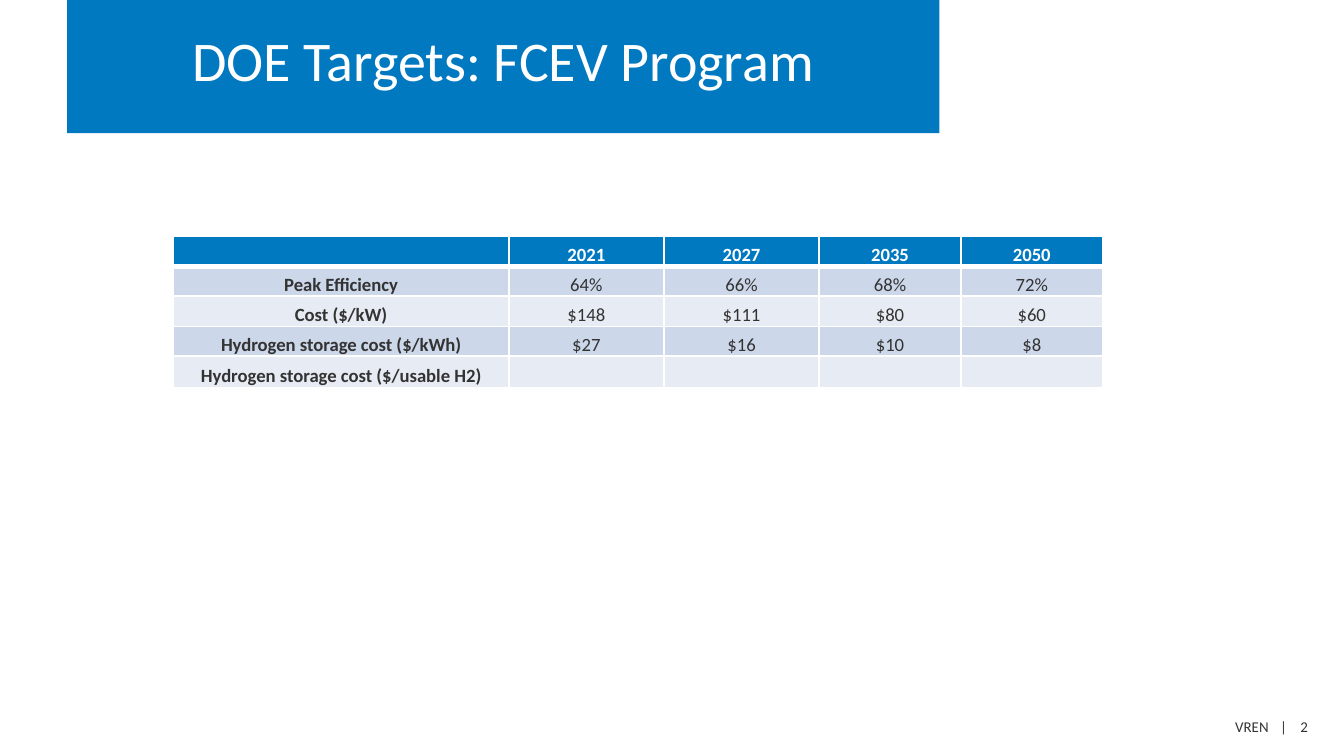
from dataclasses import dataclass

from lxml.etree import SubElement
from pptx import Presentation
from pptx.dml.color import RGBColor as Rgb
from pptx.enum.text import MSO_ANCHOR as Anchor, PP_ALIGN as Align
from pptx.oxml.ns import qn
from pptx.util import Pt

PX = 4572


@dataclass(frozen=True)
class Theme:
    font: str = "Calibri"
    blue: str = "0079C1"
    white: str = "FFFFFF"
    ink: str = "333333"
    bands: tuple = ("CCD7E9", "E7ECF4")
    title_size: int = 30
    table_size: int = 10
    footer_size: int = 8
    border: int = 1
    header_border: int = 3


THEME = Theme()

YEARS = ["", "2021", "2027", "2035", "2050"]
TARGETS = [
    ["Peak Efficiency", "64%", "66%", "68%", "72%"],
    ["Cost ($/kW)", "$148", "$111", "$80", "$60"],
    ["Hydrogen storage cost ($/kWh)", "$27", "$16", "$10", "$8"],
    ["Hydrogen storage cost ($/usable H2)", "", "", "", ""],
]
COLUMN_WIDTHS = [499, 231, 231, 211, 211]
ROW_HEIGHTS = [45, 44, 45, 44, 47]


def px(*lengths):
    return [length * PX for length in lengths]


def write(frame, text, *, size, color, bold=False, align=Align.CENTER, spacing=None):
    paragraph = frame.paragraphs[0]
    paragraph.alignment = align
    if spacing:
        paragraph.line_spacing = Pt(spacing)
    if not text:
        SubElement(paragraph._p, qn("a:endParaRPr"), sz=str(size * 100))
        return paragraph
    run = paragraph.add_run()
    run.text = text
    run.font.name = THEME.font
    run.font.size = Pt(size)
    run.font.bold = bold
    run.font.color.rgb = Rgb.from_string(color)
    return paragraph


def set_borders(cell, **widths):
    properties = cell._tc.get_or_add_tcPr()
    for position, side in enumerate("LRTB"):
        width = widths.get(side, THEME.border)
        line = properties.makeelement(qn(f"a:ln{side}"), {"w": str(Pt(width))})
        fill = SubElement(line, qn("a:solidFill"))
        SubElement(fill, qn("a:srgbClr"), val=THEME.white)
        properties.insert(position, line)


def add_title(slide, box):
    banner = slide.shapes.title
    banner.left, banner.top, banner.width, banner.height = px(*box)
    banner.fill.solid()
    banner.fill.fore_color.rgb = Rgb.from_string(THEME.blue)
    banner.text_frame.vertical_anchor = Anchor.MIDDLE
    write(banner.text_frame, "DOE Targets: FCEV Program", size=THEME.title_size,
          color=THEME.white, spacing=28)


def add_targets(slide, left, top):
    box = px(left, top, sum(COLUMN_WIDTHS), sum(ROW_HEIGHTS))
    rows = [YEARS, *TARGETS]
    targets = slide.shapes.add_table(len(rows), len(YEARS), *box).table
    for column, width in zip(targets.columns, px(*COLUMN_WIDTHS)):
        column.width = width
    for row, height in zip(targets.rows, px(*ROW_HEIGHTS)):
        row.height = height

    for r, values in enumerate(rows):
        header = r == 0
        fill = THEME.blue if header else THEME.bands[(r - 1) % 2]
        rule = {0: {"B": THEME.header_border}, 1: {"T": THEME.header_border}}.get(r, {})
        for c, value in enumerate(values):
            cell = targets.cell(r, c)
            cell.margin_left = cell.margin_right = 0
            cell.margin_top = cell.margin_bottom = 0
            cell.vertical_anchor = Anchor.BOTTOM
            cell.fill.solid()
            cell.fill.fore_color.rgb = Rgb.from_string(fill)
            set_borders(cell, **rule)
            write(cell.text_frame, value, size=THEME.table_size,
                  color=THEME.white if header else THEME.ink,
                  bold=header or c == 0)


def add_footer(slide, box):
    frame = slide.shapes.add_textbox(*px(*box)).text_frame
    frame.word_wrap = True
    frame.margin_left, frame.margin_right = px(370, 0)
    credit = write(frame, "VREN\t|\t2", size=THEME.footer_size,
                   color=THEME.ink, align=Align.LEFT)
    stops = SubElement(credit._p.get_or_add_pPr(), qn("a:tabLst"))
    for stop in px(67, 97):
        SubElement(stops, qn("a:tab"), pos=str(stop), algn="l")


def main():
    deck = Presentation()
    deck.slide_width, deck.slide_height = px(2000, 1125)
    slide = deck.slides.add_slide(deck.slide_layouts[5])
    add_footer(slide, (1468, 1058, 498, 48))
    add_title(slide, (100, 0, 1298, 198))
    add_targets(slide, 258, 352)
    deck.save("out.pptx")


if __name__ == "__main__":
    main()
